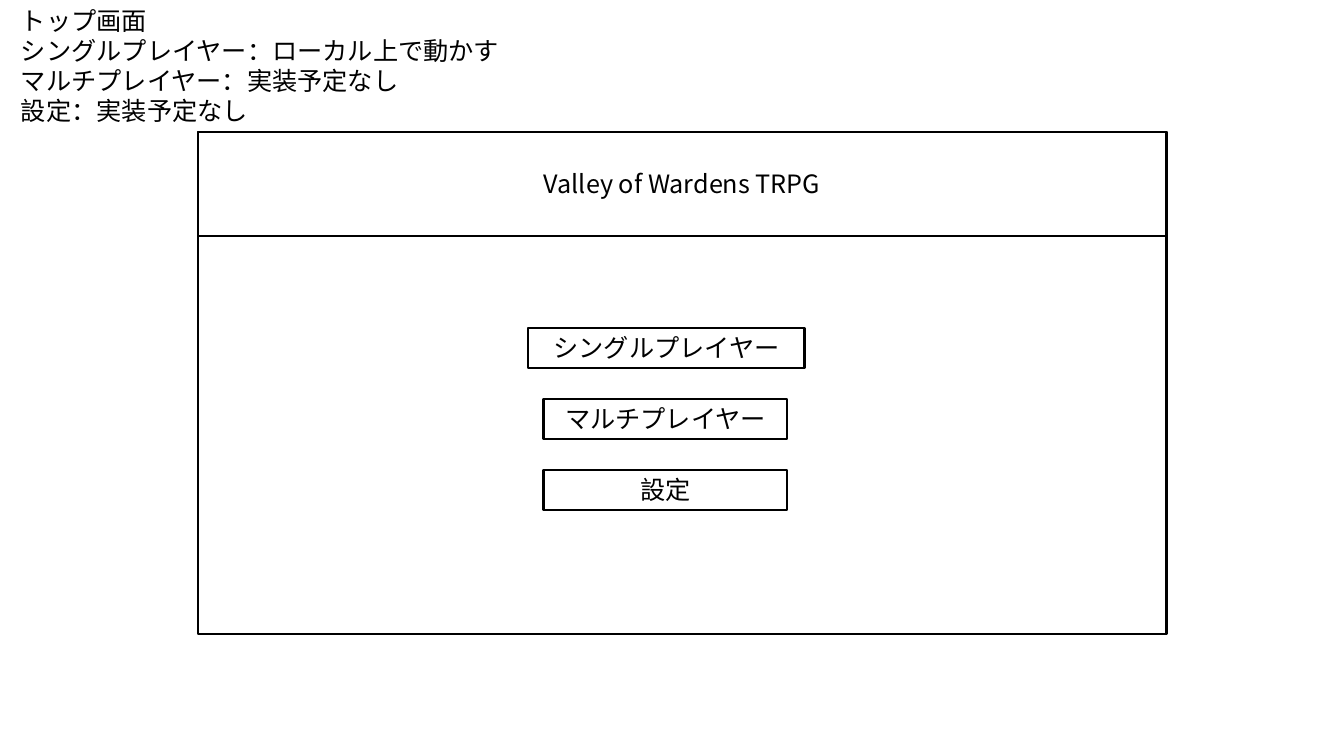
from dataclasses import dataclass

from lxml.etree import SubElement
from pptx import Presentation
from pptx.dml.color import RGBColor
from pptx.enum.shapes import MSO_SHAPE
from pptx.enum.text import MSO_ANCHOR, MSO_AUTO_SIZE, PP_ALIGN
from pptx.oxml.ns import qn
from pptx.util import Inches, Pt

COLOURS = {"ink": "000000", "paper": "FFFFFF"}
FONT = "Noto Sans CJK JP"
BUTTON_TOP, BUTTON_STEP, BUTTON_HEIGHT = 3.25, 0.705, 0.4
FRAME_LEFT, FRAME_TOP, FRAME_WIDTH = 1.96, 1.31, 9.61


@dataclass
class Box:
    left: float
    top: float
    width: float
    height: float
    text: str = ""
    grows: bool = False


@dataclass
class Button:
    label: str
    left: float
    width: float


BUTTONS = [
    Button("シングルプレイヤー", 5.24, 2.74),
    Button("マルチプレイヤー", 5.39, 2.42),
    Button("設定", 5.39, 2.42),
]
NOTES = [
    ["トップ画面", "シングルプレイヤー：ローカル上で動かす"],
    ["マルチプレイヤー：実装予定なし"],
    ["設定：実装予定なし"],
]


def colour(name: str) -> RGBColor:
    return RGBColor.from_string(COLOURS[name])


def add_lines(paragraph, lines: list[str], alignment: PP_ALIGN) -> None:
    paragraph.alignment = alignment
    paragraph.line_spacing = Pt(21.6)
    for index, line in enumerate(lines):
        if index:
            paragraph.add_line_break()
        run = paragraph.add_run()
        run.text = line
        run.font.size = Pt(18)
        run.font.name = FONT
        run.font.color.rgb = colour("ink")
        east_asian = SubElement(run.font._element, qn("a:ea"))
        east_asian.set("typeface", FONT)


def add_box(slide, box: Box) -> None:
    shape = slide.shapes.add_shape(
        MSO_SHAPE.RECTANGLE,
        Inches(box.left), Inches(box.top), Inches(box.width), Inches(box.height),
    )
    shape.shadow.inherit = False
    shape.fill.solid()
    shape.fill.fore_color.rgb = colour("paper")
    shape.line.color.rgb = colour("ink")
    shape.line.width = Pt(1.5)
    if box.text:
        frame = shape.text_frame
        frame.word_wrap = True
        frame.vertical_anchor = MSO_ANCHOR.MIDDLE
        if box.grows:
            frame.auto_size = MSO_AUTO_SIZE.SHAPE_TO_FIT_TEXT
        add_lines(frame.paragraphs[0], [box.text], PP_ALIGN.CENTER)


def add_notes(slide) -> None:
    text_box = slide.shapes.add_textbox(
        Inches(0.11), Inches(0), Inches(6.11), Inches(1.31)
    )
    frame = text_box.text_frame
    frame.word_wrap = True
    frame.auto_size = MSO_AUTO_SIZE.SHAPE_TO_FIT_TEXT
    for index, lines in enumerate(NOTES):
        paragraph = frame.add_paragraph() if index else frame.paragraphs[0]
        add_lines(paragraph, lines, PP_ALIGN.LEFT)


def main() -> None:
    presentation = Presentation()
    presentation.slide_width = Inches(13.33)
    presentation.slide_height = Inches(7.5)
    slide = presentation.slides.add_slide(presentation.slide_layouts[6])

    add_box(slide, Box(FRAME_LEFT, FRAME_TOP, FRAME_WIDTH, 4.98))
    for row, button in enumerate(BUTTONS):
        top = BUTTON_TOP + row * BUTTON_STEP
        add_box(slide, Box(button.left, top, button.width, BUTTON_HEIGHT,
                           button.label, grows=True))
    add_notes(slide)
    add_box(slide, Box(FRAME_LEFT, FRAME_TOP, FRAME_WIDTH, 1.03,
                       "Valley of Wardens TRPG"))

    presentation.save("out.pptx")


if __name__ == "__main__":
    main()
